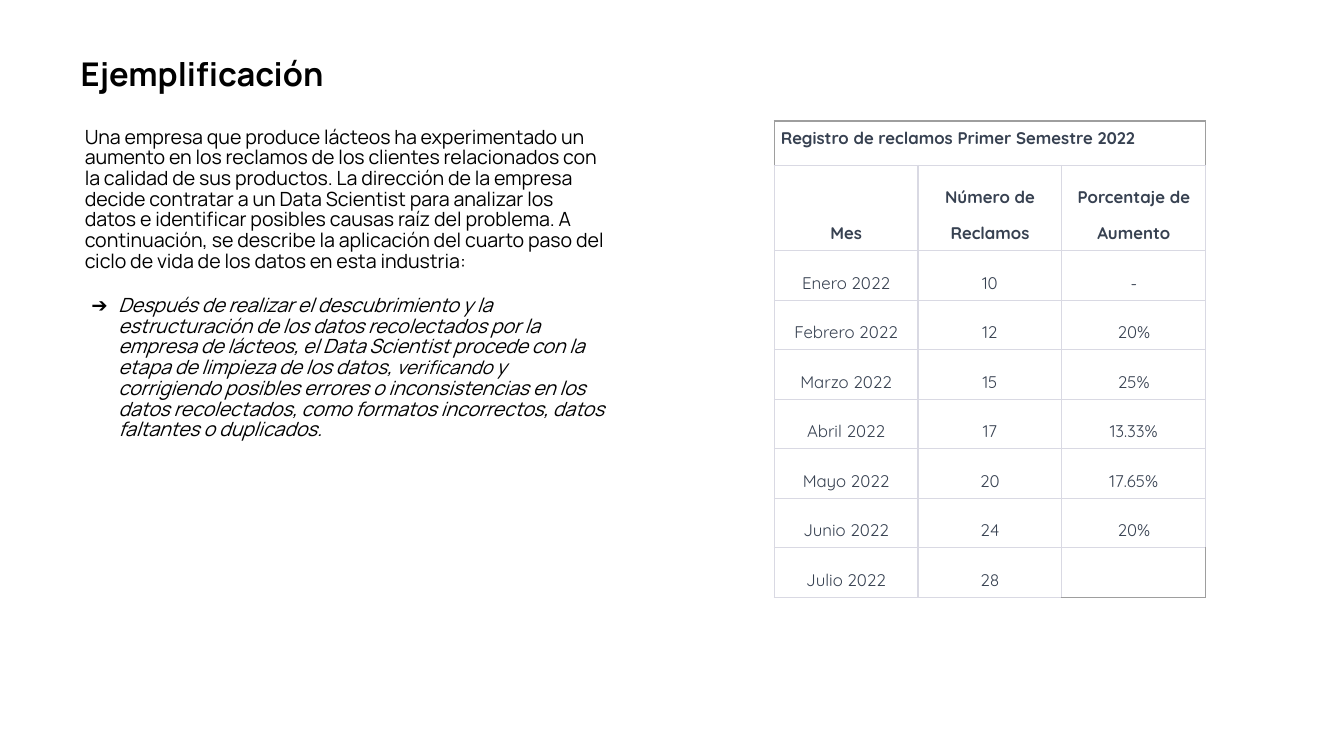
"""Builds the slide on the data cleaning example with its table of claims."""
from lxml.etree import SubElement
from pptx import Presentation
from pptx.dml.color import RGBColor
from pptx.enum.text import MSO_ANCHOR, MSO_AUTO_SIZE, PP_ALIGN
from pptx.oxml import parse_xml
from pptx.oxml.ns import nsdecls, qn
from pptx.util import Pt


def color(value):
    return RGBColor.from_string(value)


def write(paragraph, text, size=10.5, font="Manrope", fill="000000", bold=False,
          italic=False, align=PP_ALIGN.LEFT, spacing=1.0, before=0):
    paragraph.alignment = align
    paragraph.line_spacing = spacing
    paragraph.space_before = Pt(before)
    run = paragraph.add_run()
    run.text = text
    run.font.name, run.font.size = font, Pt(size)
    run.font.bold, run.font.italic = bold, italic
    run.font.color.rgb = color(fill)


presentation = Presentation()
presentation.slide_width, presentation.slide_height = Pt(720), Pt(405)
slide = presentation.slides.add_slide(presentation.slide_layouts[1])
title, body = slide.placeholders

for holder, box, inset in ((title, (25.2, 26.6, 604, 48.2), 0),
                           (body, (41.8, 64.8, 286, 237.6), 3.6)):
    holder.left, holder.top, holder.width, holder.height = map(Pt, box)
    frame = holder.text_frame
    frame.word_wrap = True
    frame.auto_size = MSO_AUTO_SIZE.NONE
    frame.vertical_anchor = MSO_ANCHOR.TOP
    frame.margin_left = frame.margin_right = Pt(inset)
    frame.margin_top = frame.margin_bottom = Pt(inset)

heading = title.text_frame.paragraphs[0]
introduction = body.text_frame.paragraphs[0]
step = body.text_frame.add_paragraph()
for paragraph, margin, indent in ((heading, 0, 18), (introduction, 0, 0), (step, 18, -14.4)):
    properties = paragraph._p.get_or_add_pPr()
    properties.set("marL", str(Pt(margin)))
    properties.set("indent", str(Pt(indent)))
SubElement(introduction._p.pPr, qn("a:buNone"))
bullet_color = SubElement(step._p.pPr, qn("a:buClr"))
SubElement(bullet_color, qn("a:srgbClr"), val="000000")
SubElement(step._p.pPr, qn("a:buFont"), typeface="Manrope")
SubElement(step._p.pPr, qn("a:buChar"), char="➔")

write(heading, "Ejemplificación", size=17.5, bold=True, spacing=1.11)
write(introduction, "Una empresa que produce lácteos ha experimentado un aumento en los "
      "reclamos de los clientes relacionados con la calidad de sus productos. La dirección de "
      "la empresa decide contratar a un Data Scientist para analizar los datos e identificar "
      "posibles causas raíz del problema. A continuación, se describe la aplicación del cuarto "
      "paso del ciclo de vida de los datos en esta industria:", spacing=0.88)
for text, size in (
        ("Después de realizar el descubrimiento y la estructuración de los datos recolectados "
         "por la empresa de lácteos, el Data Scientist procede con la etapa de limpieza de los "
         "datos, ", 10.5),
        ("verificando", 10),
        (" y corrigiendo posibles errores o inconsistencias en los datos recolectados, como "
         "formatos incorrectos, datos faltantes o duplicados.", 10.5)):
    write(step, text, size=size, italic=True, spacing=0.88, before=12.6)

claims = (
    ("Registro de reclamos Primer Semestre 2022", "", ""),
    ("Mes", "Número de Reclamos", "Porcentaje de Aumento"),
    ("Enero 2022", "10", "-"),
    ("Febrero 2022", "12", "20%"),
    ("Marzo 2022", "15", "25%"),
    ("Abril 2022", "17", "13.33%"),
    ("Mayo 2022", "20", "17.65%"),
    ("Junio 2022", "24", "20%"),
    ("Julio 2022", "28", ""),
)
table = slide.shapes.add_table(len(claims), 3, Pt(414.7), Pt(64.8), Pt(231.3), Pt(231)).table
table.first_row = table.horz_banding = False
for column in table.columns:
    column.width = Pt(77.1)
for row in table.rows:
    row.height = Pt(23.8)
table.rows[1].height = Pt(42.5)
table.cell(0, 0).merge(table.cell(0, 2))

dark_sides = {0: "LRT", len(claims) - 1: "RB"}
for r, values in enumerate(claims):
    for c, value in enumerate(values):
        cell = table.cell(r, c)
        cell.margin_left = cell.margin_right = Pt(3.6)
        cell.margin_top = cell.margin_bottom = Pt(3.6)
        cell.vertical_anchor = (MSO_ANCHOR.TOP, MSO_ANCHOR.BOTTOM, MSO_ANCHOR.MIDDLE)[min(r, 2)]
        cell.fill.background()
        paragraph = cell.text_frame.paragraphs[0]
        if value:
            write(paragraph, value, size=9, font="Quicksand", fill="374151", bold=r < 2,
                  align=PP_ALIGN.CENTER if r else PP_ALIGN.LEFT, spacing=1.71 if r else 1.0)
        else:
            SubElement(paragraph._p, qn("a:endParaRPr"), sz="900")
        sides = dark_sides.get(r, "") if r == 0 or not value else ""
        for position, side in enumerate("LRTB"):
            shade = "9E9E9E" if side in sides else "D9D9E3"
            cell._tc.tcPr.insert(position, parse_xml(
                f'<a:ln{side} {nsdecls("a")} w="{Pt(0.75)}"><a:solidFill>'
                f'<a:srgbClr val="{shade}"/></a:solidFill></a:ln{side}>'))

presentation.save("out.pptx")
